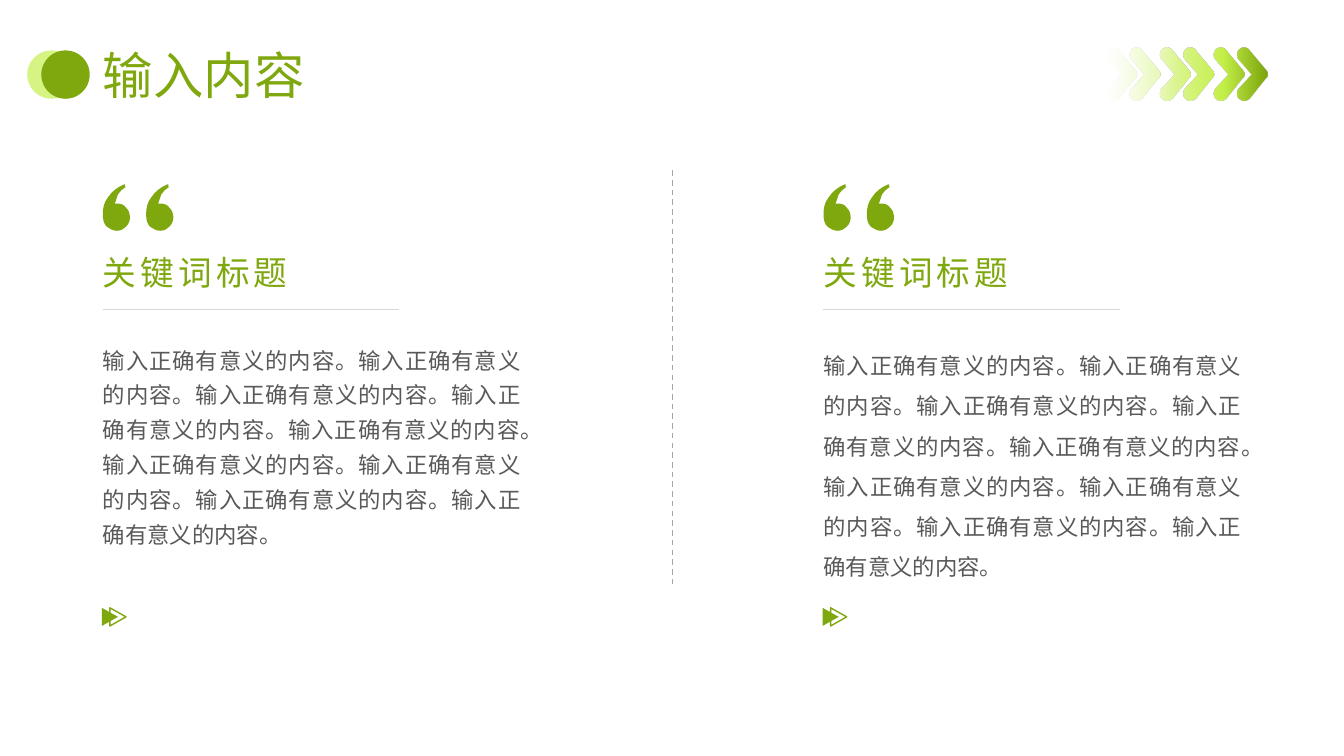
from lxml.etree import Element, SubElement
from pptx import Presentation
from pptx.dml.color import RGBColor
from pptx.enum.dml import MSO_LINE
from pptx.enum.lang import MSO_LANGUAGE_ID as Language
from pptx.enum.shapes import MSO_CONNECTOR, MSO_SHAPE as Preset
from pptx.enum.text import MSO_ANCHOR as Anchor, MSO_AUTO_SIZE as AutoSize, PP_ALIGN as Align
from pptx.oxml import parse_xml
from pptx.oxml.ns import nsdecls, qn
from pptx.util import Inches, Pt

GREEN = RGBColor(0x7F, 0xA7, 0x0E)
DARK_GREEN = RGBColor(0x5F, 0x7D, 0x0B)
LIME = RGBColor(0xC4, 0xF0, 0x49)
SOFT_LIME = RGBColor(0xD8, 0xF5, 0x86)
PALE_LIME = RGBColor(0xEB, 0xFA, 0xC2)
TEXT_GRAY = RGBColor(0x59, 0x59, 0x59)
DIVIDER_GRAY = RGBColor(0xA6, 0xA6, 0xA6)
RULE_GRAY = RGBColor(0xD9, 0xD9, 0xD9)

TITLE_STOPS = [(0, DARK_GREEN, 100), (13, GREEN, 100), (84, GREEN, 100), (100, LIME, 100)]
CHEVRON_STOPS = [(0, PALE_LIME, 0), (47, SOFT_LIME, 100), (73, LIME, 100), (100, GREEN, 100)]

# Two numbers are a line's end; six are a curve's two handles and end.
CHEVRON = [
    (0.07, 0), (0.09, 0.01, 0.11, 0.01, 0.12, 0.03), (0.28, 0.22),
    (0.31, 0.25, 0.31, 0.29, 0.28, 0.31), (0.12, 0.51),
    (0.1, 0.52, 0.09, 0.53, 0.07, 0.53), (0.05, 0.53, 0.03, 0.52, 0.02, 0.51),
    (-0.01, 0.49, -0.01, 0.44, 0.01, 0.41), (0.14, 0.27), (0.01, 0.12),
    (-0.01, 0.09, -0.01, 0.05, 0.02, 0.02), (0.04, 0.01, 0.05, 0, 0.07, 0),
]
QUOTE_MARK = [
    (0.21, 0), (0.21, 0, 0.21, 0, 0.22, 0), (0.22, 0, 0.22, 0.01, 0.22, 0.01), (0.22, 0.02),
    (0.23, 0.02, 0.23, 0.03, 0.23, 0.03), (0.22, 0.03, 0.22, 0.03, 0.22, 0.03),
    (0.19, 0.05, 0.17, 0.07, 0.15, 0.1), (0.14, 0.13, 0.13, 0.16, 0.12, 0.19),
    (0.12, 0.19, 0.13, 0.19, 0.13, 0.19), (0.13, 0.19, 0.14, 0.19, 0.14, 0.19),
    (0.18, 0.19, 0.21, 0.2, 0.23, 0.23), (0.26, 0.26, 0.27, 0.29, 0.27, 0.32),
    (0.27, 0.36, 0.26, 0.39, 0.23, 0.42), (0.21, 0.44, 0.18, 0.46, 0.14, 0.46),
    (0.1, 0.46, 0.07, 0.44, 0.04, 0.42), (0.01, 0.39, 0, 0.35, 0, 0.3),
    (0, 0.24, 0.01, 0.18, 0.05, 0.13), (0.09, 0.07, 0.14, 0.03, 0.21, 0),
]
CHEVRON_OFFSETS = [pair * 0.53 + part * 0.23 for pair in range(3) for part in range(2)]
QUOTE_OFFSETS = [0, 0.43]
HEADING = "关键词标题"
BODY = "输入正确有意义的内容。" * 9


def gradient_fill(stops):
    """Return a left-to-right gradient element."""
    marks = "".join(
        f'<a:gs pos="{place * 1000}"><a:srgbClr val="{color}">'
        f'<a:alpha val="{alpha * 1000}"/></a:srgbClr></a:gs>'
        for place, color, alpha in stops
    )
    return parse_xml(
        f'<a:gradFill {nsdecls("a")} rotWithShape="1"><a:gsLst>{marks}</a:gsLst>'
        '<a:lin ang="0" scaled="0"/></a:gradFill>'
    )


def style_shape(shape, fill=None, line=None):
    """Give a shape a plain fill and line, without shadow."""
    shape.shadow.inherit = False
    if fill is None:
        shape.fill.background()
    else:
        shape.fill.solid()
        shape.fill.fore_color.rgb = fill
    if line is None:
        shape.line.fill.background()
    else:
        shape.line.color.rgb = line
        shape.line.width = Pt(1)


def place_segment(segment, left, top):
    """Return a segment's points as lengths on the slide."""
    return [
        (Inches(left + x), Inches(top + y)) for x, y in zip(segment[::2], segment[1::2])
    ]


def bend_line(line, points, shape):
    """Turn a straight path segment into a curve."""
    curve = Element(qn("a:cubicBezTo"))
    for x, y in points:
        SubElement(curve, qn("a:pt"), x=str(x - shape.left), y=str(y - shape.top))
    line.getparent().replace(line, curve)


def add_outlines(shapes, outline, left, top, offsets):
    """Add one shape that repeats an outline at horizontal offsets."""
    contours = [
        [place_segment(segment, left + offset, top) for segment in outline] for offset in offsets
    ]
    builder = shapes.build_freeform(*contours[0][0][-1], scale=1)
    for number, contour in enumerate(contours):
        if number:
            builder.move_to(*contour[0][-1])
        builder.add_line_segments([points[-1] for points in contour[1:]], close=True)
    shape = builder.convert_to_shape()
    style_shape(shape, fill=GREEN)
    segments = [points for contour in contours for points in contour[1:]]
    lines = list(shape._element.iter(qn("a:lnTo")))
    for line, points in zip(lines, segments):
        if len(points) == 3:
            bend_line(line, points, shape)
    return shape


def add_preset(shapes, preset, left, top, width, height, fill=None, line=None):
    """Add a preset shape."""
    shape = shapes.add_shape(preset, Inches(left), Inches(top), Inches(width), Inches(height))
    style_shape(shape, fill, line)
    return shape


def add_rule(shapes, start, end, color, dash=None):
    """Add a thin straight line."""
    rule = shapes.add_connector(MSO_CONNECTOR.STRAIGHT, *map(Inches, start + end))
    rule.line.color.rgb = color
    rule.line.width = Pt(1)
    if dash is not None:
        rule.line.dash_style = dash
    SubElement(rule._element.spPr, qn("a:effectLst"))


def format_span(span, size, typeface, color=None):
    """Set a run's font, size, language and colour."""
    font = span.font
    font.size = Pt(size)
    font.language_id = Language.SIMPLIFIED_CHINESE
    if color is not None:
        font.color.rgb = color
    font.name = typeface
    SubElement(span._r.get_or_add_rPr(), qn("a:ea"), typeface=typeface)


def add_text(shapes, text, left, top, width, height, size, typeface, color):
    """Add a text box without margins and return its paragraph."""
    box = shapes.add_textbox(Inches(left), Inches(top), Inches(width), Inches(height))
    frame = box.text_frame
    frame.margin_left = frame.margin_right = frame.margin_top = frame.margin_bottom = 0
    frame.word_wrap = True
    frame.auto_size = AutoSize.SHAPE_TO_FIT_TEXT
    frame.text = text
    para = frame.paragraphs[0]
    format_span(para.runs[0], size, typeface, color)
    return para


def add_header(page):
    """Add the circles, the chevrons and the title."""
    title = page.shapes.title
    circles = page.shapes.add_group_shape().shapes
    pale = add_preset(circles, Preset.OVAL, 0.27, 0.5, 0.48, 0.48, LIME)
    SubElement(pale._element.spPr.find(".//" + qn("a:srgbClr")), qn("a:alpha"), val="68000")
    add_preset(circles, Preset.OVAL, 0.41, 0.5, 0.48, 0.48, GREEN)
    chevrons = add_outlines(page.shapes, CHEVRON, 10.98, 0.47, CHEVRON_OFFSETS)
    properties = chevrons._element.spPr
    properties.replace(properties.find(qn("a:solidFill")), gradient_fill(CHEVRON_STOPS))
    title.left, title.top, title.width, title.height = map(Inches, (0.92, 0.38, 9.91, 0.71))
    title.text_frame.text = "输入内容"
    title.text_frame.vertical_anchor = Anchor.MIDDLE
    title.text_frame.auto_size = AutoSize.NONE
    para = title.text_frame.paragraphs[0]
    para.alignment = Align.LEFT
    format_span(para.runs[0], 36, "Roboto")
    para.runs[0]._r.get_or_add_rPr().insert(0, gradient_fill(TITLE_STOPS))


def add_column(shapes, left, body_height, line_spacing):
    """Add a quote, a heading, a text and an arrow mark."""
    add_outlines(shapes, QUOTE_MARK, left, 1.83, QUOTE_OFFSETS)
    add_rule(shapes, (left, 3.07), (left + 2.94, 3.07), RULE_GRAY)
    heading = add_text(shapes, HEADING, left, 2.5, 3.38, 0.4, 24, "Cabin", GREEN)
    heading.runs[0]._r.get_or_add_rPr().set("spc", "300")
    body = add_text(shapes, BODY, left, 3.36, 4.15, body_height, 16, "Roboto", TEXT_GRAY)
    body.alignment = Align.JUSTIFY
    body.line_spacing = line_spacing
    arrows = shapes.add_group_shape().shapes
    for offset, fill, line in ((-0.02, GREEN, None), (0.06, None, GREEN)):
        arrow = add_preset(
            arrows, Preset.ISOSCELES_TRIANGLE, left + offset, 6.04, 0.18, 0.16, fill, line
        )
        arrow.rotation = 90


def main():
    """Build and save the slide."""
    deck = Presentation()
    deck.slide_width, deck.slide_height = Inches(40 / 3), Inches(7.5)
    page = deck.slides.add_slide(deck.slide_layouts[5])
    add_header(page)
    add_column(page.shapes, 1.02, 2.08, 1.3)
    add_rule(page.shapes, (6.67, 1.69), (6.67, 5.81), DIVIDER_GRAY, MSO_LINE.DASH)
    add_column(page.shapes, 8.17, 2.38, 1.5)
    deck.save("out.pptx")


if __name__ == "__main__":
    main()
